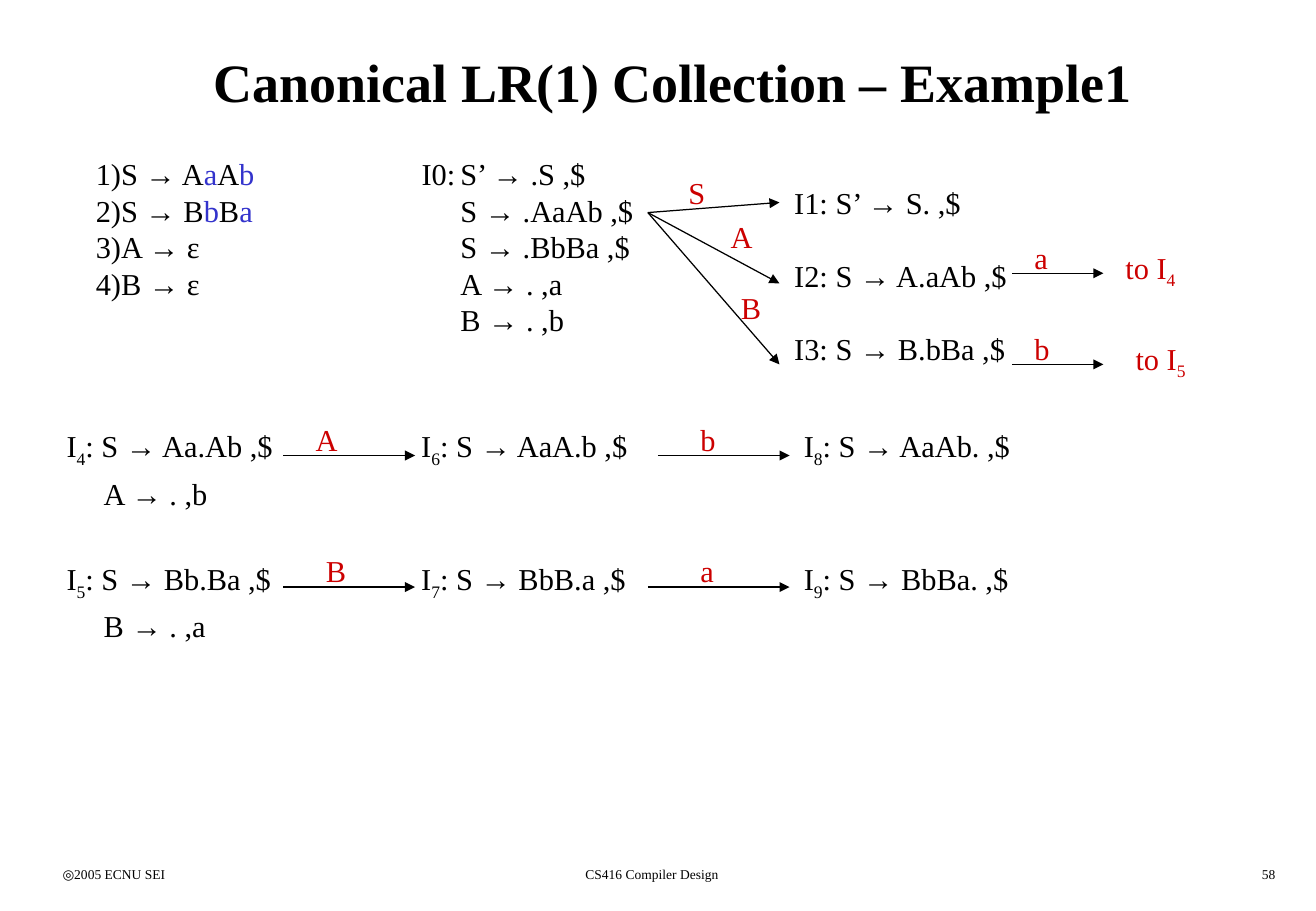
from lxml.etree import SubElement
from pptx import Presentation
from pptx.dml.color import RGBColor
from pptx.enum.shapes import MSO_CONNECTOR as Connector
from pptx.enum.text import MSO_ANCHOR as Anchor, PP_ALIGN as Align
from pptx.oxml.ns import qn
from pptx.util import Pt

BLACK, RED, BLUE = "000000", "CC0000", "3333CC"


def color(value):
    """Turn a hex string into a colour."""
    return RGBColor.from_string(value)


def subscript(span):
    """Lower a run below the baseline."""
    span._r.get_or_add_rPr().set("baseline", "-25000")


def terminal(span):
    """Colour a run as a grammar terminal."""
    span.font.color.rgb = color(BLUE)


class Board:
    """Draw text and arrows on one page in a shared style."""

    font = "Times New Roman"

    def __init__(self, page):
        """Keep the page to draw on."""
        self.page = page

    def text(self, left, top, width, height, lines, size=18, ink=BLACK,
             mark=subscript, align=Align.LEFT, wrap=True, gap=0):
        """Add a text box; pieces between underscores get the mark."""
        box = self.page.shapes.add_textbox(Pt(left), Pt(top), Pt(width), Pt(height))
        frame = box.text_frame
        frame.word_wrap = wrap
        for index, line in enumerate(lines):
            para = frame.add_paragraph() if index else frame.paragraphs[0]
            para.alignment = align
            para.space_before = Pt(gap if index else 0)
            for order, piece in enumerate(line.split("_")):
                if not piece:
                    continue
                span = para.add_run()
                span.text = piece
                span.font.name = self.font
                span.font.size = Pt(size)
                span.font.color.rgb = color(ink)
                if order % 2:
                    mark(span)
        return frame

    def title(self, left, top, width, height, words):
        """Add the bold centred heading."""
        frame = self.text(left, top, width, height, [words], 32, align=Align.CENTER)
        frame.vertical_anchor = Anchor.MIDDLE
        frame.paragraphs[0].runs[0].font.bold = True

    def label(self, left, top, words, width=26):
        """Add a red transition label."""
        self.text(left, top, width, 28.8, [words], ink=RED, wrap=False)

    def indent(self, para, margin, first=0):
        """Set the left margin and first-line offset of a paragraph."""
        props = para._p.get_or_add_pPr()
        props.set("marL", str(Pt(margin)))
        props.set("indent", str(Pt(first)))

    def arrow(self, x1, y1, x2, y2):
        """Add a thin arrow between two points."""
        line = self.page.shapes.add_connector(
            Connector.STRAIGHT, Pt(x1), Pt(y1), Pt(x2), Pt(y2))
        line.line.color.rgb = color(BLACK)
        line.line.width = Pt(0.75)
        SubElement(line.line._get_or_add_ln(), qn("a:tailEnd"), type="triangle")
        SubElement(line._element.spPr, qn("a:effectLst"))


def main():
    """Build and save the slide."""
    deck = Presentation()
    deck.slide_width, deck.slide_height = Pt(780), Pt(540)
    board = Board(deck.slides.add_slide(deck.slide_layouts[6]))

    for left, width, words, align in [
            (30, 163, "◎2005 ECNU SEI", Align.LEFT),
            (240.5, 292, "CS416 Compiler Design", Align.CENTER),
            (600, 163, "58", Align.RIGHT)]:
        board.text(left, 510, width, 18, [words], 8, align=align)
    board.title(30, 12, 738, 72, "Canonical LR(1) Collection – Example1")

    board.text(49.7, 88.6, 170, 94, [
        "1)S → A_a_A_b_", "2)S → B_b_B_a_", "3)A → ε", "4)B → ε"], mark=terminal)
    start = board.text(242.8, 88.6, 152, 115, [
        "I0:\tS’ → .S ,$", "S → .AaAb ,$", "S → .BbBa ,$", "A → . ,a", "B → . ,b"])
    for index, para in enumerate(start.paragraphs):
        board.indent(para, 23, 0 if index else -23)
    board.text(463.7, 105.8, 158, 115, [
        "I1: S’ → S. ,$", "I2: S → A.aAb ,$", "I3: S → B.bBa ,$"], gap=21.6)

    columns, first_row, pitch = (32.4, 242.6, 469.4), 249.7, 78.8
    item_sets = [
        [["I_4_: S → Aa.Ab ,$", "A → . ,b"], ["I_6_: S → AaA.b ,$"], ["I_8_: S → AaAb. ,$"]],
        [["I_5_: S → Bb.Ba ,$", "B → . ,a"], ["I_7_: S → BbB.a ,$"], ["I_9_: S → BbBa. ,$"]]]
    for row, sets in enumerate(item_sets):
        for left, lines in zip(columns, sets):
            frame = board.text(left, first_row + row * pitch, 172, 28 * len(lines),
                               lines, gap=3.6)
            for para in frame.paragraphs[1:]:
                board.indent(para, 22)

    for end in (120, 168, 216):
        board.arrow(384, 126, 462, end)
    for x1, x2, y in [(168, 246, 270), (168, 246, 348), (390, 468, 270),
                      (384, 468, 348), (600, 654, 162), (600, 654, 216)]:
        board.arrow(x1, y, x2, y)
    for left, top, words in [
            (401, 99.5, "S"), (426, 126, "A"), (432, 168, "B"),
            (180, 246, "A"), (186, 324, "B"), (408, 246, "b"), (408, 324, "a"),
            (606, 138, "a"), (606, 192, "b")]:
        board.label(left, top, words)
    board.label(660, 144, "to I_4_", 45)
    board.label(666, 198, "to I_5_", 45)

    deck.save("out.pptx")


if __name__ == "__main__":
    main()
